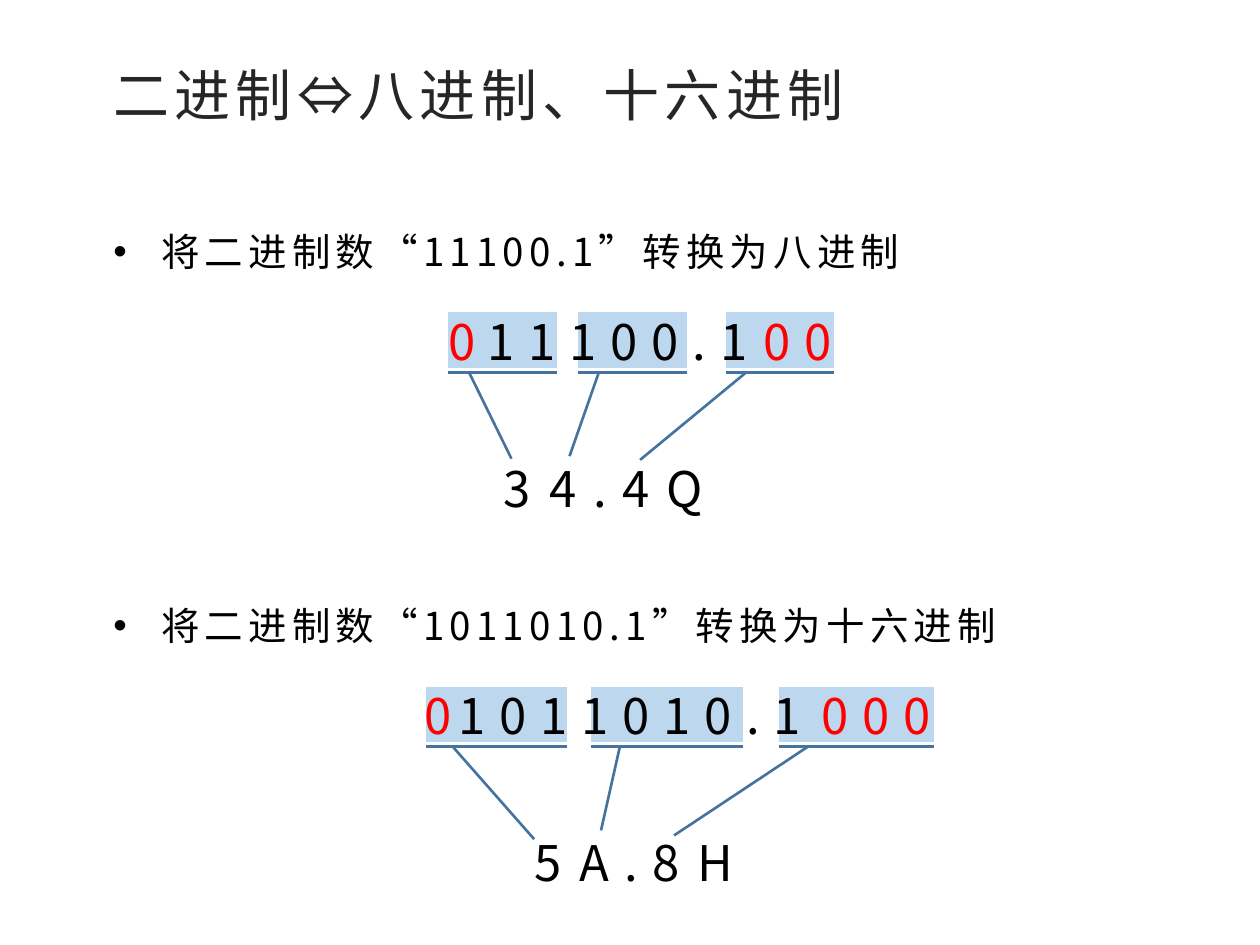
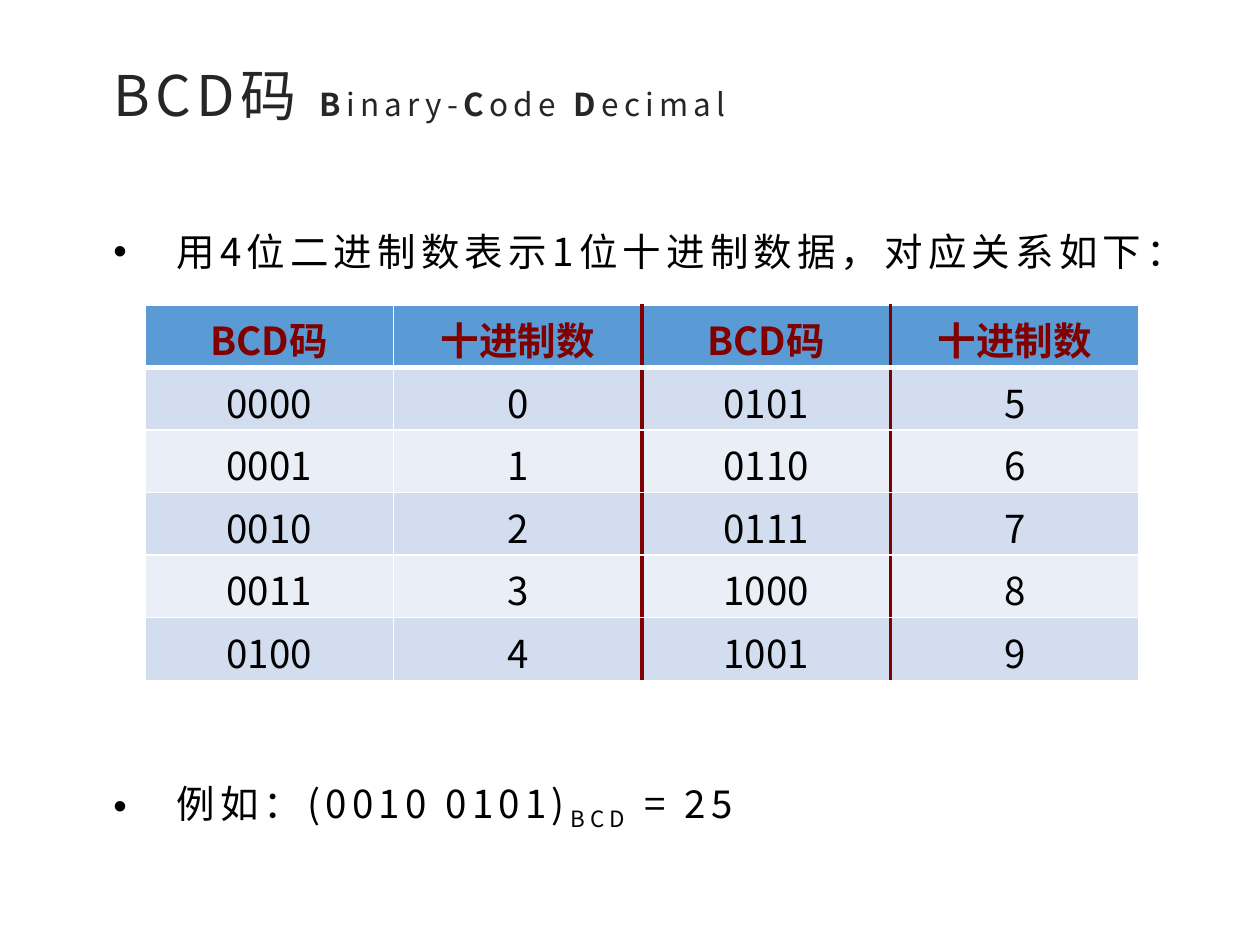
"""Build two slides on converting binary numbers and on BCD code."""
from pptx import Presentation
from pptx.dml.color import RGBColor
from pptx.enum import shapes, text
from pptx.oxml import parse_xml
from pptx.oxml.ns import nsdecls, qn
from pptx.util import Inches, Pt

FONT = "Noto Sans CJK SC"
COLORS = {
    "title": "262626", "ink": "000000", "padding": "FF0000",
    "group": "BDD7EE", "leader": "43739E", "white": "FFFFFF",
    "dark_red": "800000", "header": "5B9BD5",
    "odd_row": "D2DEEF", "even_row": "EAEFF7",
}
TITLE_BOX = (0.8, 0.43, 8.58, 0.64)
BULLET_LEFT, BULLET_WIDTH = 0.8, 8.87
GROUP_HEIGHT = 0.44

CONVERSION_TITLE = [("二进制⇔八进制、十六进制", {})]
CONVERSIONS = [
    {
        "task": "将二进制数“11100.1”转换为八进制", "top": 1.39,
        "groups": [(5.76, 0.86, 5.08, 3.65), (3.56, 0.86, 4.06, 3.64),
                   (4.59, 0.86, 4.52, 3.62)],
        "binary": [("11100.1", 3.77, 2.46, "ink"), ("0", 3.46, 0.54, "padding"),
                   ("00", 5.96, 0.89, "padding")],
        "answer": [("3", 3.9, 0.54), ("4", 4.26, 0.54), (".", 4.61, 0.41),
                   ("4", 4.84, 0.54), ("Q", 5.19, 0.52)],
    },
    {
        "task": "将二进制数“1011010.1”转换为十六进制", "top": 4.36,
        "groups": [(6.18, 1.23, 5.35, 6.63), (3.38, 1.12, 4.24, 6.66),
                   (4.69, 1.21, 4.77, 6.59)],
        "binary": [("1011010.1", 3.54, 3.14, "ink"), ("0", 3.27, 0.54, "padding"),
                   ("000", 6.42, 1.18, "padding")],
        "answer": [("5", 4.14, 0.54), ("A", 4.5, 0.59), (".", 4.86, 0.41),
                   ("8", 5.08, 0.54), ("H", 5.44, 0.51)],
    },
]

BOLD, SMALL = {"size": 18, "bold": True}, {"size": 18}
BCD_TITLE = [("BCD码 ", {}), ("B", BOLD), ("inary-", SMALL), ("C", BOLD),
             ("ode ", SMALL), ("D", BOLD), ("ecimal", SMALL)]
BCD_BULLETS = [
    (1.39, [("用4位二进制数表示1位十进制数据，对应关系如下：", {})]),
    (5.72, [("例如：(0010 0101)", {}), ("BCD", {"baseline": -25000}), (" = 25", {})]),
]
BCD_ROWS = [["BCD码", "十进制数"] * 2] + [
    [f"{low:04b}", str(low), f"{low + 5:04b}", str(low + 5)] for low in range(5)
]
RED_RULES = {2: 2.25, 3: 1.75}


def rgb(name):
    return RGBColor.from_string(COLORS[name])


def write(paragraph, pieces, size, color, spacing=0):
    for words, changes in pieces:
        run = paragraph.add_run()
        run.text = words
        font = run.font
        font.size = Pt(changes.get("size", size))
        font.bold = changes.get("bold", False)
        font.color.rgb = rgb(color)
        font.name = FONT
        properties = run._r.get_or_add_rPr()
        properties.append(parse_xml(f'<a:ea {nsdecls("a")} typeface="{FONT}"/>'))
        if spacing:
            properties.set("spc", str(spacing * 100))
        if "baseline" in changes:
            properties.set("baseline", str(changes["baseline"]))


def place(part, left, top, width, height):
    part.left, part.top = Inches(left), Inches(top)
    part.width, part.height = Inches(width), Inches(height)


def add_slide(deck, title, bullets, indent, height):
    slide = deck.slides.add_slide(deck.slide_layouts[3])
    heading, *bodies = slide.placeholders
    place(heading, *TITLE_BOX)
    heading.text_frame.auto_size = text.MSO_AUTO_SIZE.NONE
    first = heading.text_frame.paragraphs[0]
    first.alignment = text.PP_ALIGN.LEFT
    write(first, title, 32, "title", 3)
    for body, (top, pieces) in zip(bodies, bullets):
        place(body, BULLET_LEFT, top, BULLET_WIDTH, height)
        body.text_frame.auto_size = text.MSO_AUTO_SIZE.SHAPE_TO_FIT_TEXT
        item = body.text_frame.paragraphs[0]
        properties = item._p.get_or_add_pPr()
        properties.set("marL", str(Inches(indent)))
        properties.set("indent", str(-Inches(indent)))
        properties.append(parse_xml(f'<a:buFont {nsdecls("a")} typeface="Arial"/>'))
        properties.append(parse_xml(f'<a:buChar {nsdecls("a")} char="•"/>'))
        item.line_spacing, item.space_before = 2.0, Pt(0)
        write(item, pieces, 22, "ink", 3)
    return slide


def add_group(slide, bottom, left, width, tip_x, tip_y):
    middle_x, middle_y = left + width / 2, bottom - GROUP_HEIGHT / 2
    group = slide.shapes.add_shape(
        shapes.MSO_SHAPE.LINE_CALLOUT_1_ACCENT_BAR,
        Inches(middle_x - GROUP_HEIGHT / 2), Inches(middle_y - width / 2),
        Inches(GROUP_HEIGHT), Inches(width))
    group.rotation = 270
    ends = (0.19, -0.08, (tip_x - left) / width, (bottom - tip_y) / GROUP_HEIGHT)
    for index, value in enumerate(ends):
        group.adjustments[index] = value
    group.shadow.inherit = False
    group.fill.solid()
    group.fill.fore_color.rgb = rgb("group")
    group.line.color.rgb = rgb("leader")
    group.line.width = Pt(1.5)


def add_digits(slide, words, left, top, width, color):
    digits = slide.shapes.add_textbox(
        Inches(left), Inches(top), Inches(width), Inches(0.57))
    digits.text_frame.word_wrap = False
    digits.text_frame.auto_size = text.MSO_AUTO_SIZE.SHAPE_TO_FIT_TEXT
    spacing = 0 if words in ("Q", "H") else 8
    write(digits.text_frame.paragraphs[0], [(words, {})], 28, color, spacing)


def add_border(cell, side, color, width):
    cell._tc.get_or_add_tcPr().append(parse_xml(
        f'<a:ln{side} {nsdecls("a")} w="{Pt(width)}"><a:solidFill>'
        f'<a:srgbClr val="{COLORS[color]}"/></a:solidFill></a:ln{side}>'))


def vertical_rule(edge):
    return ("dark_red", RED_RULES[edge]) if edge in RED_RULES else ("white", 1)


def add_bcd_table(slide):
    table = slide.shapes.add_table(
        len(BCD_ROWS), len(BCD_ROWS[0]),
        Inches(1.15), Inches(2.42), Inches(7.89), Inches(2.98)).table
    for r, row in enumerate(BCD_ROWS):
        fill = "header" if r == 0 else ("odd_row" if r % 2 else "even_row")
        for c, words in enumerate(row):
            cell = table.cell(r, c)
            cell.margin_top, cell.margin_bottom = Inches(0.05), 0
            add_border(cell, "L", *vertical_rule(c))
            add_border(cell, "R", *vertical_rule(c + 1))
            add_border(cell, "T", "white", 3 if r == 1 else 1)
            add_border(cell, "B", "white", 3 if r == 0 else 1)
            cell.fill.solid()
            cell.fill.fore_color.rgb = rgb(fill)
            paragraph = cell.text_frame.paragraphs[0]
            paragraph.alignment = text.PP_ALIGN.CENTER
            write(paragraph, [(words, {"bold": r == 0})], 22,
                  "dark_red" if r == 0 else "ink")


def main():
    deck = Presentation()
    deck.slide_width, deck.slide_height = Inches(10), Inches(7.5)
    tasks = [(part["top"], [(part["task"], {})]) for part in CONVERSIONS]
    conversion = add_slide(deck, CONVERSION_TITLE, tasks, 0.38, 0.84)
    for part in CONVERSIONS:
        top = part["top"]
        for group in part["groups"]:
            add_group(conversion, top + 1.53, *group)
        for words, left, width, color in part["binary"]:
            add_digits(conversion, words, left, top + 1.03, width, color)
        for words, left, width in part["answer"]:
            add_digits(conversion, words, left, top + 2.2, width, "ink")
    bcd = add_slide(deck, BCD_TITLE, BCD_BULLETS, 0.5, 0.71)
    add_bcd_table(bcd)
    deck.save("out.pptx")


if __name__ == "__main__":
    main()
